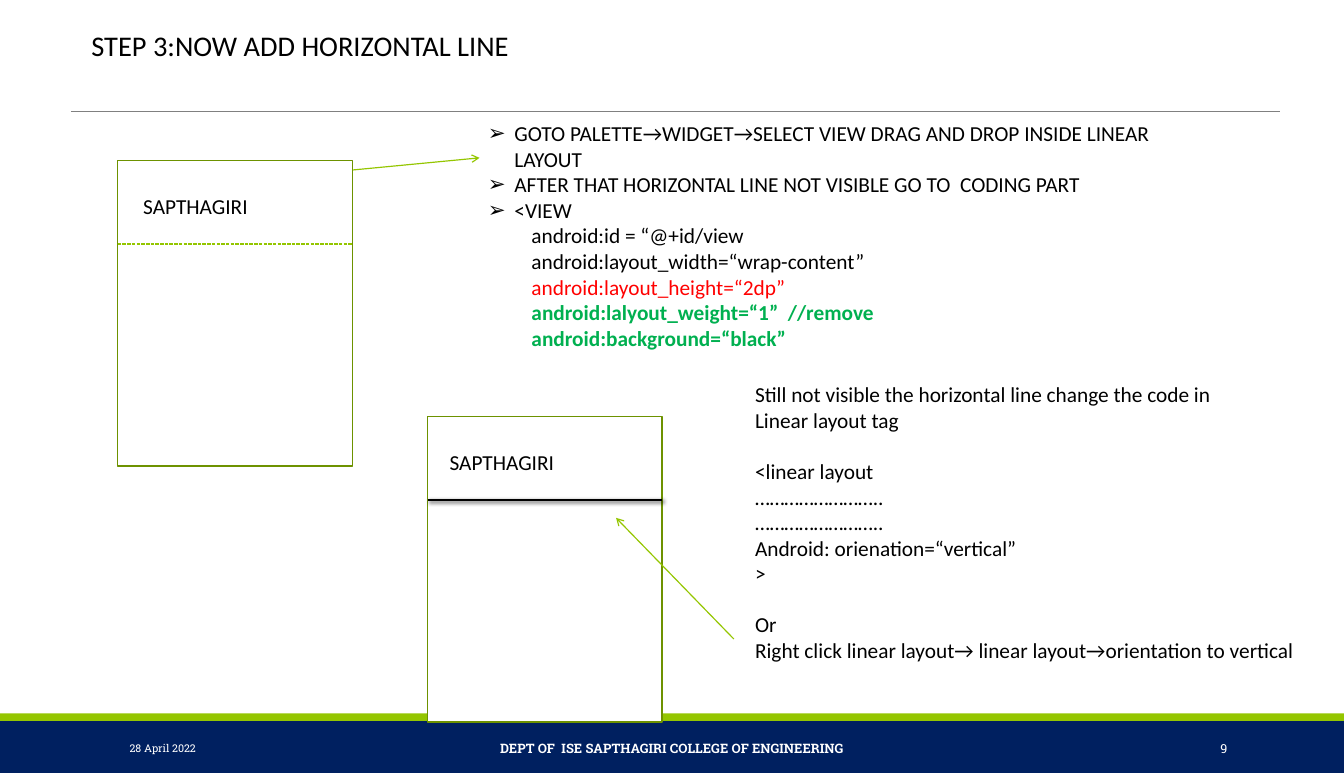
from lxml import etree
from pptx import Presentation
from pptx import util as u
from pptx.dml.color import RGBColor
from pptx.enum import dml, shapes, text
from pptx.oxml.ns import qn

COLORS = {
    "white": "FFFFFF", "black": "000000", "navy": "002060", "lime": "94C600",
    "olive": "6D9200", "gray": "808080", "red": "FF0000", "green": "00B050",
}


class SlideBuilder:
    body_font = "Calibri"
    footer_font = "Roboto Slab"

    def __init__(self, presentation):
        self.slide = presentation.slides.add_slide(presentation.slide_layouts[5])

    def color(self, name):
        return RGBColor.from_string(COLORS[name])

    def place(self, shape, left, top, width, height):
        shape.left, shape.top = u.Inches(left), u.Inches(top)
        shape.width, shape.height = u.Inches(width), u.Inches(height)

    def add_run(self, paragraph, content, size, color="black", bold=False, font=None):
        run = paragraph.add_run()
        run.text = content
        run.font.name = font or self.body_font
        run.font.size = u.Pt(size)
        run.font.bold = bold
        run.font.color.rgb = self.color(color)

    def title(self, content, left, top, width, height):
        shape = self.slide.shapes.title
        self.place(shape, left, top, width, height)
        frame = shape.text_frame
        frame.auto_size = text.MSO_AUTO_SIZE.NONE
        frame.vertical_anchor = text.MSO_ANCHOR.TOP
        paragraph = frame.paragraphs[0]
        paragraph.alignment = text.PP_ALIGN.LEFT
        self.add_run(paragraph, content, 24)

    def rectangle(self, left, top, width, height, fill, outline=None):
        shape = self.slide.shapes.add_shape(
            shapes.MSO_SHAPE.RECTANGLE, u.Inches(left), u.Inches(top),
            u.Inches(width), u.Inches(height))
        shape.shadow.inherit = False
        shape.fill.solid()
        shape.fill.fore_color.rgb = self.color(fill)
        if outline:
            shape.line.color.rgb = self.color(outline)
            shape.line.width = u.Pt(1.25)
        else:
            shape.line.fill.background()

    def line(self, start, end, color, width, dash=None, arrow=False, shadow=False):
        connector = self.slide.shapes.add_connector(
            shapes.MSO_CONNECTOR.STRAIGHT, *map(u.Inches, start + end))
        connector.line.color.rgb = self.color(color)
        connector.line.width = u.Pt(width)
        if dash:
            connector.line.dash_style = dash
        properties = connector._element.spPr
        if arrow:
            etree.SubElement(properties.find(qn("a:ln")), qn("a:tailEnd"), type="arrow")
        effects = etree.SubElement(properties, qn("a:effectLst"))
        if shadow:
            outer = etree.SubElement(
                effects, qn("a:outerShdw"), blurRad=str(u.Pt(3)), dist=str(u.Pt(2)),
                dir=str(45 * 60000), rotWithShape="0")
            shade = etree.SubElement(outer, qn("a:srgbClr"), val=COLORS["black"])
            etree.SubElement(shade, qn("a:alpha"), val="60000")

    def text_box(self, left, top, width, height):
        shape = self.slide.shapes.add_textbox(
            u.Inches(left), u.Inches(top), u.Inches(width), u.Inches(height))
        shape.text_frame.word_wrap = True
        return shape.text_frame

    def indent(self, paragraph, margin, bullet=None):
        properties = paragraph._p.get_or_add_pPr()
        properties.set("marL", str(u.Inches(margin)))
        if bullet:
            properties.set("indent", str(-u.Inches(margin)))
            etree.SubElement(properties, qn("a:buFont"), typeface="Arial")
            etree.SubElement(properties, qn("a:buChar"), char=bullet)

    def footer(self, content, left, width, size, alignment, bold=False):
        frame = self.text_box(left, 8.53, width, 0.48)
        frame.vertical_anchor = text.MSO_ANCHOR.MIDDLE
        paragraph = frame.paragraphs[0]
        paragraph.alignment = alignment
        self.add_run(paragraph, content, size, "white", bold, self.footer_font)

    def steps(self, bullets, code, left, top, width, height):
        frame = self.text_box(left, top, width, height)
        paragraph = frame.paragraphs[0]
        for index, content in enumerate(bullets):
            if index:
                paragraph = frame.add_paragraph()
            self.indent(paragraph, 0.31, "➢")
            self.add_run(paragraph, content, 18)
        for content, color, bold in code:
            paragraph = frame.add_paragraph()
            self.indent(paragraph, 0.51)
            self.add_run(paragraph, content, 18, color, bold)

    def grouped_text(self, groups, left, top, width, height):
        frame = self.text_box(left, top, width, height)
        paragraph = frame.paragraphs[0]
        for group_index, group in enumerate(groups):
            for line_index, content in enumerate(group):
                if group_index or line_index:
                    paragraph = frame.add_paragraph()
                if group_index and not line_index:
                    paragraph.space_before = u.Pt(21.6)
                self.add_run(paragraph, content, 18)

    def phone(self, left, top, label_left, **divider):
        width, divider_top = 2.75, top + 0.98
        self.rectangle(left, top, width, 3.58, "white", "olive")
        self.line((left, divider_top), (left + width, divider_top), **divider)
        label = self.text_box(label_left, top + 0.33, 1.53, 0.4)
        self.add_run(label.paragraphs[0], "SAPTHAGIRI", 18)


def main():
    presentation = Presentation()
    presentation.slide_width = u.Inches(15.75)
    presentation.slide_height = u.Inches(9.06)
    builder = SlideBuilder(presentation)

    builder.rectangle(0, 8.45, 15.75, 0.61, "navy")
    builder.rectangle(0, 8.36, 15.75, 0.09, "lime")
    builder.line((0.83, 1.31), (15, 1.31), "gray", 0.5)
    builder.footer("28 April 2022", 1.42, 3.19, 9, text.PP_ALIGN.LEFT)
    builder.footer("DEPT OF  ISE SAPTHAGIRI COLLEGE OF ENGINEERING",
                   4.76, 6.23, 11, text.PP_ALIGN.CENTER, bold=True)
    builder.footer("9", 12.79, 1.69, 10.5, text.PP_ALIGN.RIGHT)
    builder.title("STEP 3:NOW ADD HORIZONTAL LINE", 0.97, 0.28, 12.85, 0.5)

    builder.phone(5.01, 4.88, 5.17, color="black", width=2, shadow=True)
    builder.line((3.74, 2.03), (5.62, 1.85), "lime", 1, arrow=True)
    builder.phone(1.38, 1.88, 1.58, color="lime", width=1,
                  dash=dml.MSO_LINE.SQUARE_DOT)

    builder.steps(
        ["GOTO PALETTE→WIDGET→SELECT VIEW DRAG AND DROP INSIDE LINEAR LAYOUT",
         "AFTER THAT HORIZONTAL LINE NOT VISIBLE GO TO  CODING PART",
         "<VIEW"],
        [("android:id = “@+id/view", "black", False),
         ("android:layout_width=“wrap-content”", "black", False),
         ("android:layout_height=“2dp”", "red", False),
         ("android:lalyout_weight=“1”  //remove", "green", True),
         ("android:background=“black”", "green", True)],
        5.62, 1.36, 8.58, 3.43)
    builder.grouped_text(
        [["Still not visible the horizontal line change the code in",
          "Linear layout tag"],
         ["<linear layout", "……………………..", "……………………..",
          "Android: orienation=“vertical”", ">"],
         ["Or", "Right click linear layout→ linear layout→orientation to vertical"]],
        8.75, 4.42, 6.6, 3.74)
    builder.line((8.6, 7.49), (7.22, 6.07), "lime", 1, arrow=True)
    presentation.save("out.pptx")


if __name__ == "__main__":
    main()
